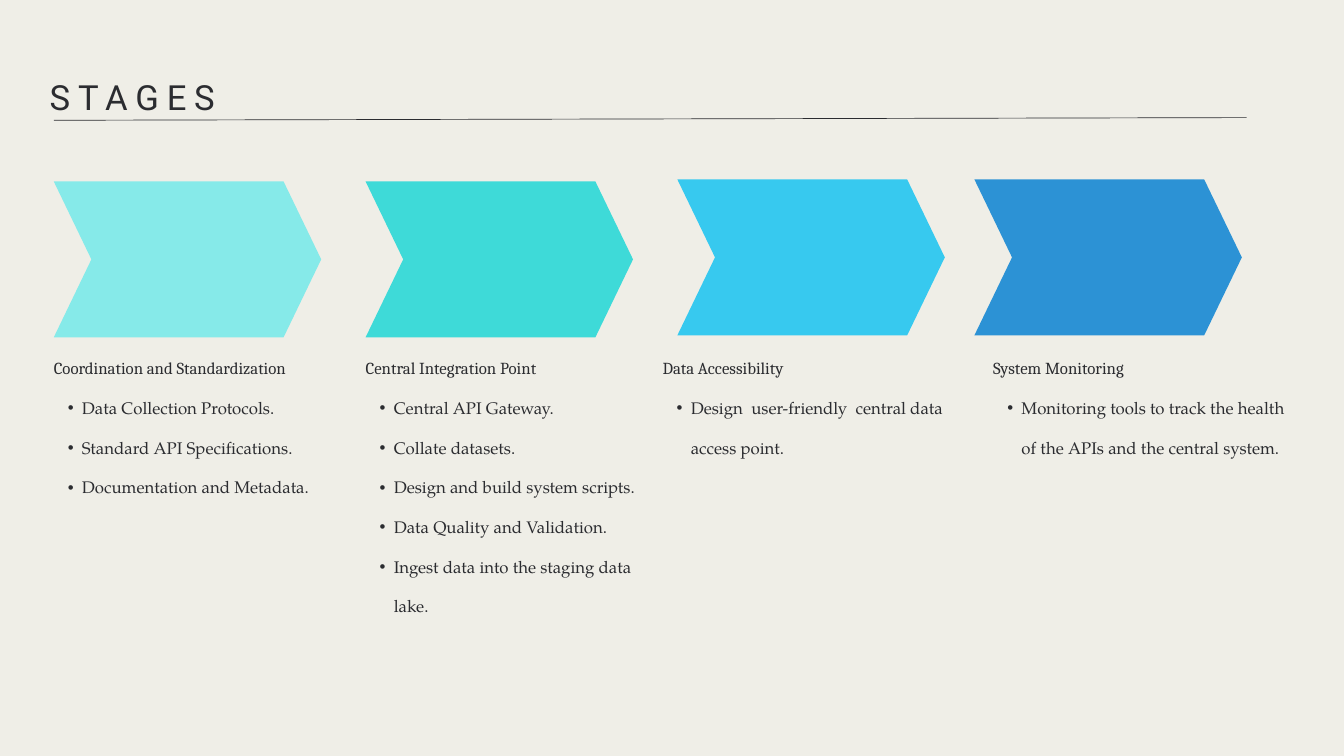
from dataclasses import dataclass

from lxml.etree import SubElement
from pptx import Presentation
from pptx.dml.color import RGBColor
from pptx.enum.shapes import MSO_CONNECTOR, MSO_SHAPE
from pptx.oxml.ns import qn
from pptx.util import Emu, Pt


@dataclass(frozen=True)
class Theme:
    paper: str = "EFEEE7"
    ink: str = "2B2C30"
    title_font: str = "Roboto"
    head_font: str = "Cambria"
    body_font: str = "TeX Gyre Pagella"
    title_size: float = 37.1
    text_size: float = 18
    title_lead: float = 52
    text_lead: float = 42.5
    track: int = 840  # hundredths of a point


THEME = Theme()
TITLE = "STAGES"
# arrow colour, arrow left, arrow top, text left, text height, heading, points
STAGES = [
    ("86EAE9", 80, 270, 80, 226, "Coordination and Standardization", [
        "Data Collection Protocols.",
        "Standard API Specifications.",
        "Documentation and Metadata.",
    ]),
    ("3EDAD8", 544, 270, 544, 401, "Central Integration Point", [
        "Central API Gateway.",
        "Collate datasets.",
        "Design and build system scripts.",
        "Data Quality and Validation.",
        "Ingest data into the staging data lake.",
    ]),
    ("37C9EF", 1008, 267, 986, 168, "Data Accessibility", [
        "Design  user-friendly  central data access point.",
    ]),
    ("2C92D5", 1450, 267, 1478, 285, "System Monitoring", [
        "Monitoring tools to track the health of the APIs and the central system.",
    ]),
]
ARROW_W, ARROW_H, NOTCH = 398, 232, 56
TEXT_TOP, TEXT_W = 504, 442
INDENT, HANG = 42, 21


def px(count):
    """Turn px, 100 to the inch, into EMU."""
    return Emu(count * 9144)


def color(code):
    return RGBColor.from_string(code)


def add_text(slide, box, lines):
    frame = slide.shapes.add_textbox(*map(px, box)).text_frame
    frame.word_wrap = True
    frame.margin_left = frame.margin_right = 0
    frame.margin_top = frame.margin_bottom = 0
    frame.text = "\n".join(lines)
    return frame.paragraphs


def style(para, font, size, lead):
    para.line_spacing = Pt(lead)
    for run in para.runs:
        run.font.name = font
        run.font.size = Pt(size)
        run.font.color.rgb = color(THEME.ink)


def add_bullet(para):
    para.level = 1
    props = para._p.get_or_add_pPr()
    props.set("marL", str(px(INDENT)))
    props.set("indent", str(-px(HANG)))
    SubElement(props, qn("a:buFont"), typeface="Arial")
    SubElement(props, qn("a:buChar"), char="•")


def add_title(slide):
    para = add_text(slide, (74, 103, 1775, 71), [TITLE])[0]
    style(para, THEME.title_font, THEME.title_size, THEME.title_lead)
    para.runs[0].font._element.set("spc", str(THEME.track))


def add_rule(slide):
    ends = map(px, (80, 179, 1855, 175))
    rule = slide.shapes.add_connector(MSO_CONNECTOR.STRAIGHT, *ends)
    rule.line.color.rgb = color(THEME.ink)
    rule.line.width = Pt(0.75)
    SubElement(rule._element.spPr, qn("a:effectLst"))


def add_arrow(slide, left, top, fill):
    box = map(px, (left, top, ARROW_W, ARROW_H))
    arrow = slide.shapes.add_shape(MSO_SHAPE.CHEVRON, *box)
    arrow.adjustments[0] = NOTCH / ARROW_H
    arrow.shadow.inherit = False
    arrow.fill.solid()
    arrow.fill.fore_color.rgb = color(fill)
    arrow.line.fill.background()


def add_notes(slide, left, height, head, points):
    box = (left, TEXT_TOP, TEXT_W, height)
    first, *rest = add_text(slide, box, [head, *points])
    style(first, THEME.head_font, THEME.text_size, THEME.text_lead)
    for para in rest:
        add_bullet(para)
        style(para, THEME.body_font, THEME.text_size, THEME.text_lead)


def main():
    deck = Presentation()
    deck.slide_width, deck.slide_height = px(2000), px(1125)
    slide = deck.slides.add_slide(deck.slide_layouts[6])
    slide.background.fill.solid()
    slide.background.fill.fore_color.rgb = color(THEME.paper)
    for fill, left, top, *_ in STAGES:
        add_arrow(slide, left, top, fill)
    add_title(slide)
    for _, _, _, left, height, head, points in STAGES:
        add_notes(slide, left, height, head, points)
    add_rule(slide)
    deck.save("out.pptx")


if __name__ == "__main__":
    main()
